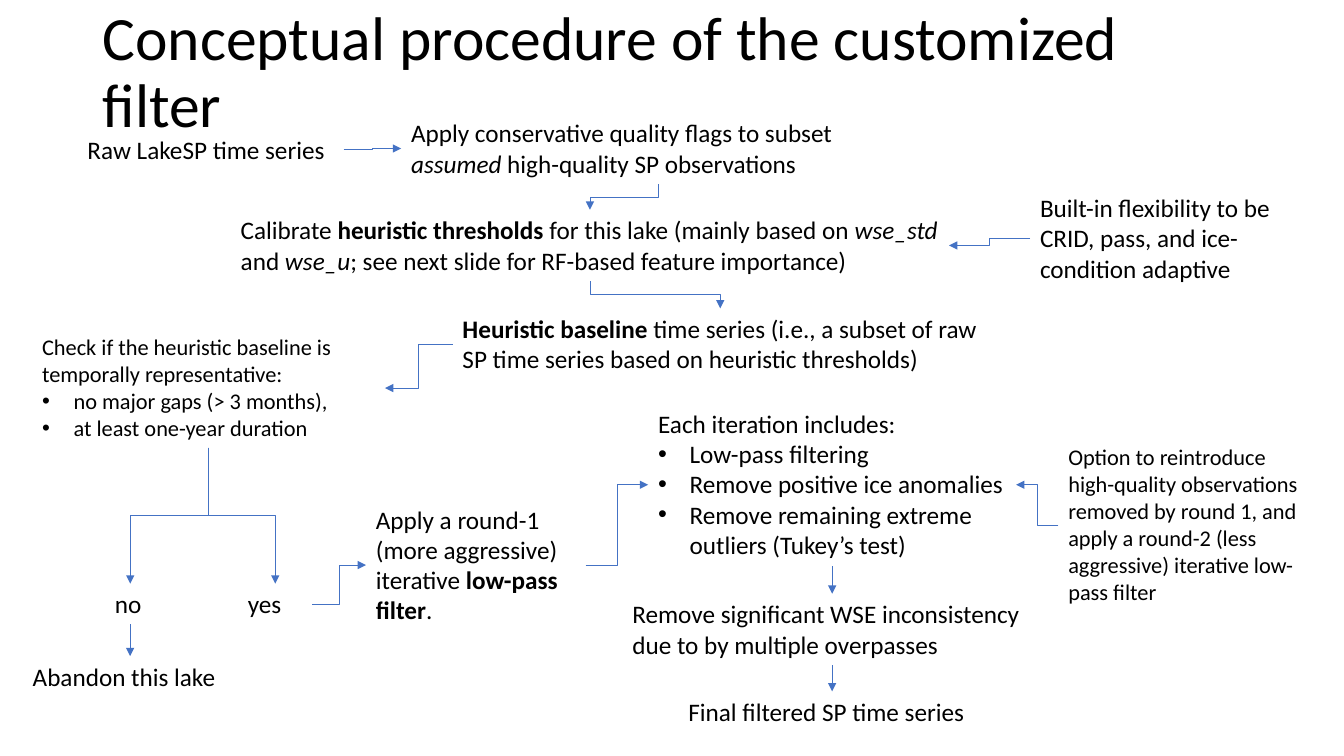
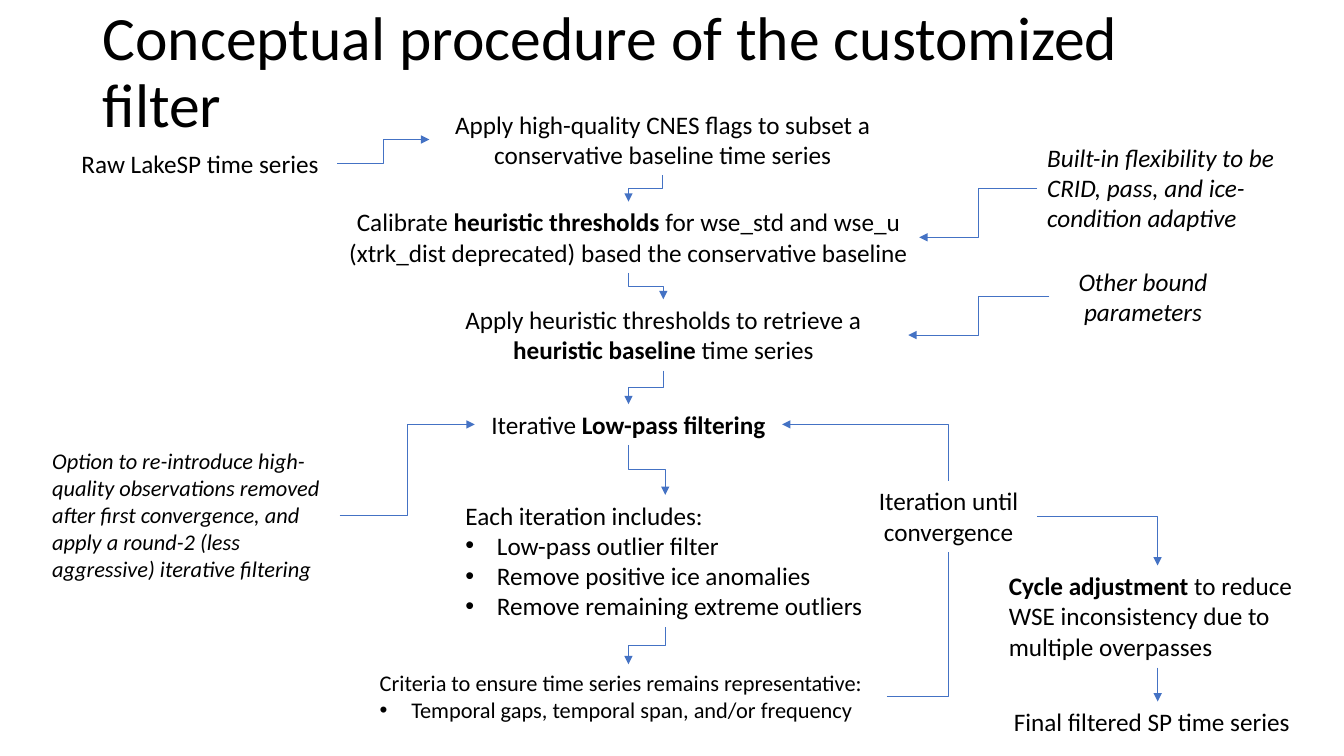
import pptx
import pptx.dml.color
import pptx.enum.shapes
import pptx.enum.text
import pptx.oxml
import pptx.oxml.ns
import pptx.util
from collections import namedtuple

Pt = pptx.util.Pt
CONNECTOR = pptx.enum.shapes.MSO_CONNECTOR
ALIGN = pptx.enum.text.PP_ALIGN
AUTO_SIZE = pptx.enum.text.MSO_AUTO_SIZE

Box = namedtuple("Box", "left top width height")
Run = namedtuple("Run", "text bold italic", defaults=(False, False))
Step = namedtuple("Step", "box runs bullets size italic align",
                  defaults=((), 18, False, ALIGN.LEFT))
Link = namedtuple("Link", "start start_side end end_side arrow", defaults=(True,))

TOP, LEFT, BOTTOM, RIGHT = range(4)
TURN = {RIGHT: 0, BOTTOM: 90, LEFT: 180, TOP: 270}
COLORS = {"text": "000000", "line": "4472C4"}
FONT = "Calibri"
TITLE = "Conceptual procedure of the customized filter"
SLIDE_SIZE = (960, 540)
TITLE_BOX = Box(66, 0.7, 828, 104.4)
FLOW_BOX = Box(0, 72, 960, 468)
BULLET_INDENT = 22.5


def color(name):
    return pptx.dml.color.RGBColor.from_string(COLORS[name])


def add_xml(parent, tag, **attributes):
    child = pptx.oxml.parse_xml(f"<{tag} {pptx.oxml.ns.nsdecls('a')}/>")
    for key, value in attributes.items():
        child.set(key, value)
    parent.append(child)


def style_paragraph(paragraph, size, italic=None, align=ALIGN.LEFT):
    paragraph.alignment = align
    font = paragraph.font
    font.name, font.size, font.italic = FONT, Pt(size), italic
    font.color.rgb = color("text")


def add_bullet(paragraph):
    properties = paragraph._p.get_or_add_pPr()
    properties.set("marL", str(Pt(BULLET_INDENT)))
    properties.set("indent", str(-Pt(BULLET_INDENT)))
    add_xml(properties, "a:buFont", typeface="Arial")
    add_xml(properties, "a:buChar", char="•")


def draw_title(slide, box):
    title = slide.shapes.title
    title.left, title.top, title.width, title.height = map(Pt, box)
    frame = title.text_frame
    frame.text = TITLE
    frame.auto_size = AUTO_SIZE.NONE
    frame.vertical_anchor = pptx.enum.text.MSO_ANCHOR.MIDDLE
    heading = frame.paragraphs[0]
    heading.line_spacing = 0.9
    heading.space_before = Pt(0)
    style_paragraph(heading, 44)


def draw_step(slide, region, step):
    left, top, width, height = step.box
    shape = slide.shapes.add_textbox(Pt(region.left + left), Pt(region.top + top),
                                     Pt(width), Pt(height))
    frame = shape.text_frame
    frame.word_wrap = True
    frame.auto_size = AUTO_SIZE.SHAPE_TO_FIT_TEXT
    statement = frame.paragraphs[0]
    for part in step.runs:
        run = statement.add_run()
        run.text = part.text
        if part.bold:
            run.font.bold = True
        if part.italic:
            run.font.italic = True
    style_paragraph(statement, step.size, step.italic or None, step.align)
    for text in step.bullets:
        item = frame.add_paragraph()
        item.text = text
        add_bullet(item)
        style_paragraph(item, step.size)
    return shape


def side_point(shape, side):
    x = {LEFT: 0, RIGHT: shape.width}.get(side, shape.width // 2)
    y = {TOP: 0, BOTTOM: shape.height}.get(side, shape.height // 2)
    return shape.left + x, shape.top + y


def bend(connector, link, x1, y1, x2, y2):
    """Turn the elbow so that it leaves the start side at a right angle."""
    dx, dy = x2 - x1, y2 - y1
    sideways = {RIGHT: dy, BOTTOM: -dx, LEFT: -dy, TOP: dx}[link.start_side]
    upright = link.start_side in (TOP, BOTTOM)
    width, height = (abs(dy), abs(dx)) if upright else (abs(dx), abs(dy))
    turn, flip_h, flip_v = TURN[link.start_side], False, sideways < 0
    if link.start_side == BOTTOM and flip_v:
        turn, flip_h, flip_v = 270, True, False
    connector.left, connector.top = (x1 + x2 - width) // 2, (y1 + y2 - height) // 2
    connector.width, connector.height = width, height
    properties = connector._element.spPr
    frame = properties.find(pptx.oxml.ns.qn("a:xfrm"))
    frame.set("rot", str(turn * 60000))
    frame.set("flipH", str(int(flip_h)))
    frame.set("flipV", str(int(flip_v)))
    if upright != (link.end_side in (TOP, BOTTOM)):
        properties.find(pptx.oxml.ns.qn("a:prstGeom")).set("prst", "bentConnector2")


def draw_link(slide, shapes, link):
    start, end = shapes[link.start], shapes[link.end]
    x1, y1 = side_point(start, link.start_side)
    x2, y2 = side_point(end, link.end_side)
    straight = min(abs(x2 - x1), abs(y2 - y1)) < Pt(0.5)
    kind = CONNECTOR.STRAIGHT if straight else CONNECTOR.ELBOW
    connector = slide.shapes.add_connector(kind, x1, y1, x2, y2)
    connector.begin_connect(start, link.start_side)
    connector.end_connect(end, link.end_side)
    if not straight:
        bend(connector, link, x1, y1, x2, y2)
    connector.line.color.rgb = color("line")
    connector.line.width = Pt(0.5)
    if link.arrow:
        add_xml(connector.line._get_or_add_ln(), "a:tailEnd", type="triangle")
    add_xml(connector._element.spPr, "a:effectLst")


def draw_flow(slide, region, steps, links):
    shapes = {key: draw_step(slide, region, step) for key, step in steps.items()}
    for link in links:
        draw_link(slide, shapes, link)


def add_flow_slide(deck, steps, links):
    slide = deck.slides.add_slide(deck.slide_layouts[5])
    draw_title(slide, TITLE_BOX)
    draw_flow(slide, FLOW_BOX, steps, links)


RAW = [Run("Raw LakeSP time series")]
FLEXIBILITY = [Run("Built-in flexibility to be CRID, pass, and ice-condition adaptive")]
ITERATION = [Run("Each iteration includes:")]
FINAL = [Run("Final filtered SP time series")]

FIRST_STEPS = {
    "raw": Step(Box(55.4, 20.2, 190, 29), RAW),
    "flags": Step(Box(286.6, 8.6, 367.2, 51), [
        Run("Apply conservative quality flags to subset "), Run("assumed", italic=True),
        Run(" high-quality SP observations")]),
    "calibrate": Step(Box(164.9, 77.8, 513, 51), [
        Run("Calibrate "), Run("heuristic thresholds ", bold=True),
        Run("for this lake (mainly based on "), Run("wse_std ", italic=True),
        Run("and "), Run("wse_u", italic=True),
        Run("; see next slide for RF-based feature importance)")]),
    "baseline": Step(Box(323.3, 148.3, 382.4, 51), [
        Run("Heuristic baseline ", bold=True),
        Run("time series (i.e., a subset of raw SP time series based on "
            "heuristic thresholds)")]),
    "flexibility": Step(Box(735.8, 61.9, 195, 73), FLEXIBILITY),
    "check": Step(
        Box(23, 162.7, 252, 85),
        [Run("Check if the heuristic baseline is temporally representative:")],
        ["no major gaps (> 3 months),", "at least one-year duration"], size=16),
    "no": Step(Box(75, 344.9, 36, 29), [Run("no")]),
    "yes": Step(Box(169.9, 344.9, 53.3, 29), [Run("yes")]),
    "abandon": Step(Box(16.3, 396.7, 153.4, 29), [Run("Abandon this lake")]),
    "round 1": Step(Box(261.4, 284.4, 157, 94.5), [
        Run("Apply a round-1 (more aggressive) iterative "),
        Run("low-pass filter", bold=True), Run(".")]),
    "iteration": Step(
        Box(463, 216, 262.8, 116.5), ITERATION,
        ["Low-pass filtering", "Remove positive ice anomalies",
         "Remove remaining extreme outliers (Tukey’s test)"]),
    "round 2": Step(
        Box(756, 241.2, 183.6, 123.6),
        [Run("Option to reintroduce high-quality observations removed by round 1, "
             "and apply a round-2 (less aggressive) iterative low-pass filter")], size=16),
    "overpasses": Step(
        Box(444.6, 352.1, 299.6, 51),
        [Run("Remove significant WSE inconsistency due to by multiple overpasses")]),
    "final": Step(Box(484.6, 421.9, 219.6, 29), FINAL),
}
FIRST_LINKS = [
    Link("raw", RIGHT, "flags", LEFT),
    Link("flags", BOTTOM, "calibrate", TOP),
    Link("flexibility", LEFT, "calibrate", RIGHT),
    Link("calibrate", BOTTOM, "baseline", TOP),
    Link("baseline", LEFT, "check", RIGHT),
    Link("check", BOTTOM, "no", TOP),
    Link("check", BOTTOM, "yes", TOP),
    Link("no", BOTTOM, "abandon", TOP),
    Link("yes", RIGHT, "round 1", LEFT),
    Link("round 1", RIGHT, "iteration", LEFT),
    Link("round 2", LEFT, "iteration", RIGHT),
    Link("iteration", BOTTOM, "overpasses", TOP),
    Link("overpasses", BOTTOM, "final", TOP),
]

SECOND_STEPS = {
    "raw": Step(Box(51.1, 30.2, 190, 29), RAW),
    "flags": Step(
        Box(306.7, 2.2, 333.4, 51),
        [Run("Apply high-quality CNES flags to subset a conservative baseline time series")],
        align=ALIGN.CENTER),
    "calibrate": Step(Box(241.2, 72, 415.4, 51), [
        Run("Calibrate "), Run("heuristic thresholds ", bold=True),
        Run("for wse_std and wse_u (xtrk_dist deprecated) based the conservative baseline"),
    ], align=ALIGN.CENTER),
    "baseline": Step(Box(298.8, 141.8, 350, 51), [
        Run("Apply heuristic thresholds to retrieve a "),
        Run("heuristic baseline ", bold=True), Run("time series")], align=ALIGN.CENTER),
    "flexibility": Step(Box(740.9, 25.9, 179.3, 73), FLEXIBILITY, italic=True),
    "bounds": Step(Box(749.5, 114.5, 133.9, 51), [Run("Other bound parameters")],
                   italic=True, align=ALIGN.CENTER),
    "low-pass": Step(Box(339.1, 216.7, 219.6, 29), [
        Run("Iterative "), Run("Low-pass filtering", bold=True)], align=ALIGN.CENTER),
    "round 2": Step(
        Box(30.2, 244.1, 212.4, 104.4),
        [Run("Option to re-introduce high-quality observations removed after first "
             "convergence, and apply a round-2 (less aggressive) iterative filtering")],
        size=16, italic=True),
    "iteration": Step(
        Box(325.4, 281.5, 299.6, 94.5), ITERATION,
        ["Low-pass outlier filter", "Remove positive ice anomalies",
         "Remove remaining extreme outliers"]),
    "criteria": Step(
        Box(264.2, 402.5, 369.4, 46),
        [Run("Criteria to ensure time series remains representative:")],
        ["Temporal gaps, temporal span, and/or frequency"], size=16),
    "convergence": Step(Box(614.2, 271.4, 126.7, 51),
                        [Run("Iteration until convergence")], align=ALIGN.CENTER),
    "cycle": Step(Box(713.5, 331.9, 226.8, 73), [
        Run("Cycle adjustment ", bold=True),
        Run("to reduce WSE inconsistency due to multiple overpasses")]),
    "final": Step(Box(717.1, 429.1, 219.6, 29), FINAL),
}
SECOND_LINKS = [
    Link("raw", RIGHT, "flags", LEFT),
    Link("flags", BOTTOM, "calibrate", TOP),
    Link("flexibility", LEFT, "calibrate", RIGHT),
    Link("calibrate", BOTTOM, "baseline", TOP),
    Link("bounds", LEFT, "baseline", RIGHT),
    Link("baseline", BOTTOM, "low-pass", TOP),
    Link("round 2", RIGHT, "low-pass", LEFT),
    Link("low-pass", BOTTOM, "iteration", TOP),
    Link("iteration", BOTTOM, "criteria", TOP),
    Link("criteria", RIGHT, "convergence", BOTTOM, arrow=False),
    Link("convergence", TOP, "low-pass", RIGHT),
    Link("convergence", RIGHT, "cycle", TOP),
    Link("cycle", BOTTOM, "final", TOP),
]


def main():
    deck = pptx.Presentation()
    deck.slide_width, deck.slide_height = map(Pt, SLIDE_SIZE)
    add_flow_slide(deck, FIRST_STEPS, FIRST_LINKS)
    add_flow_slide(deck, SECOND_STEPS, SECOND_LINKS)
    deck.save("out.pptx")


if __name__ == "__main__":
    main()
